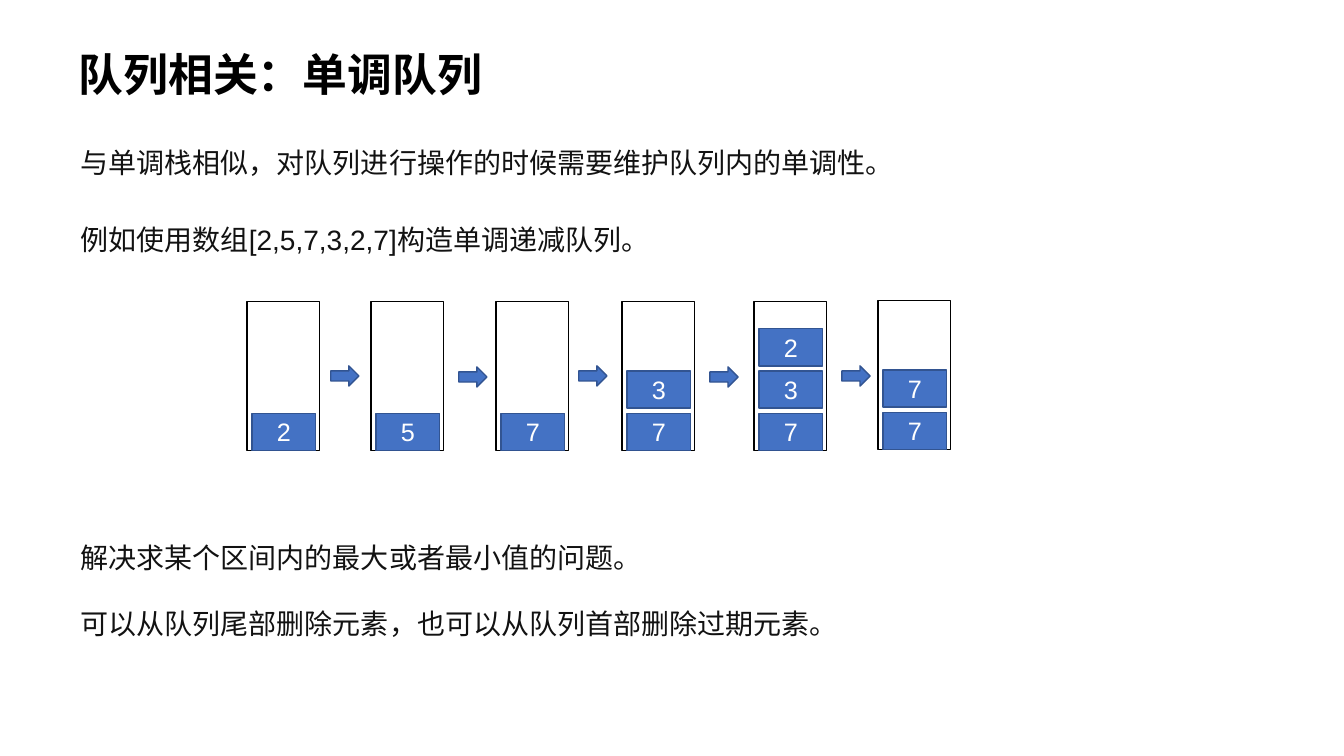
from pptx import Presentation
from pptx.dml.color import RGBColor
from pptx.enum.shapes import MSO_SHAPE
from pptx.enum.text import MSO_ANCHOR, MSO_AUTO_SIZE, PP_ALIGN
from pptx.util import Pt

PX = 9144
RECT, ARROW = MSO_SHAPE.RECTANGLE, MSO_SHAPE.RIGHT_ARROW
TOP, MIDDLE = MSO_ANCHOR.TOP, MSO_ANCHOR.MIDDLE
LEFT, CENTER = PP_ALIGN.LEFT, PP_ALIGN.CENTER
FIXED = MSO_AUTO_SIZE.NONE
BLACK = RGBColor(0x00, 0x00, 0x00)
INK = RGBColor(0x12, 0x12, 0x12)
WHITE = RGBColor(0xFF, 0xFF, 0xFF)
BLUE = RGBColor(0x44, 0x72, 0xC4)
EDGE = RGBColor(0x32, 0x54, 0x91)

deck = Presentation()
deck.slide_width, deck.slide_height = 1333 * PX, 750 * PX
slide = deck.slides.add_slide(deck.slide_layouts[5])
shapes = slide.shapes


def write(shape, *lines, size=20, color=INK, bold=False, align=LEFT,
          anchor=TOP, wrap=True, gap=0):
    frame = shape.text_frame
    frame.auto_size = FIXED
    frame.word_wrap = wrap
    frame.vertical_anchor = anchor
    frame.text = "\n".join(lines)
    for row, para in enumerate(frame.paragraphs):
        para.alignment = align
        para.space_before = Pt(gap if row else 0)
        font = para.runs[0].font
        font.name, font.size, font.bold = "Arial", Pt(size), bold
        font.color.rgb = color


def draw(kind, x, y, w, h, fill=BLUE, line=EDGE):
    shape = shapes.add_shape(kind, x * PX, y * PX, w * PX, h * PX)
    shape.shadow.inherit = False
    shape.fill.solid()
    shape.fill.fore_color.rgb = fill
    shape.line.color.rgb = line
    shape.line.width = Pt(1)
    return shape


title = shapes.title
title.left, title.top, title.width, title.height = 68 * PX, 41 * PX, 424 * PX, 64 * PX
write(title, "队列相关：单调队列", size=32, color=BLACK, bold=True, wrap=False)

notes = [
    (139, 44, ["与单调栈相似，对队列进行操作的时候需要维护队列内的单调性。"]),
    (216, 44, ["例如使用数组[2,5,7,3,2,7]构造单调递减队列。"]),
    (531, 111, ["解决求某个区间内的最大或者最小值的问题。",
                "可以从队列尾部删除元素，也可以从队列首部删除过期元素。"]),
]
for y, h, lines in notes:
    box = shapes.add_textbox(70 * PX, y * PX, 853 * PX, h * PX)
    write(box, *lines, gap=23)

queues = [(245, 299, "2"), (368, 299, "5"), (492, 299, "7"),
          (617, 299, "73"), (748, 299, "732"), (871, 298, "77")]
for x, y, items in queues:
    draw(RECT, x, y, 72, 148, WHITE, BLACK)
    for level, item in enumerate(items):
        block = draw(RECT, x + 5, y + 111 - 42 * level, 63, 37)
        write(block, item, size=18, color=WHITE, align=CENTER, anchor=MIDDLE)

for x, y in [(328, 363), (455, 364), (574, 363), (704, 364), (835, 363)]:
    draw(ARROW, x, y, 28, 20)

deck.save("out.pptx")
